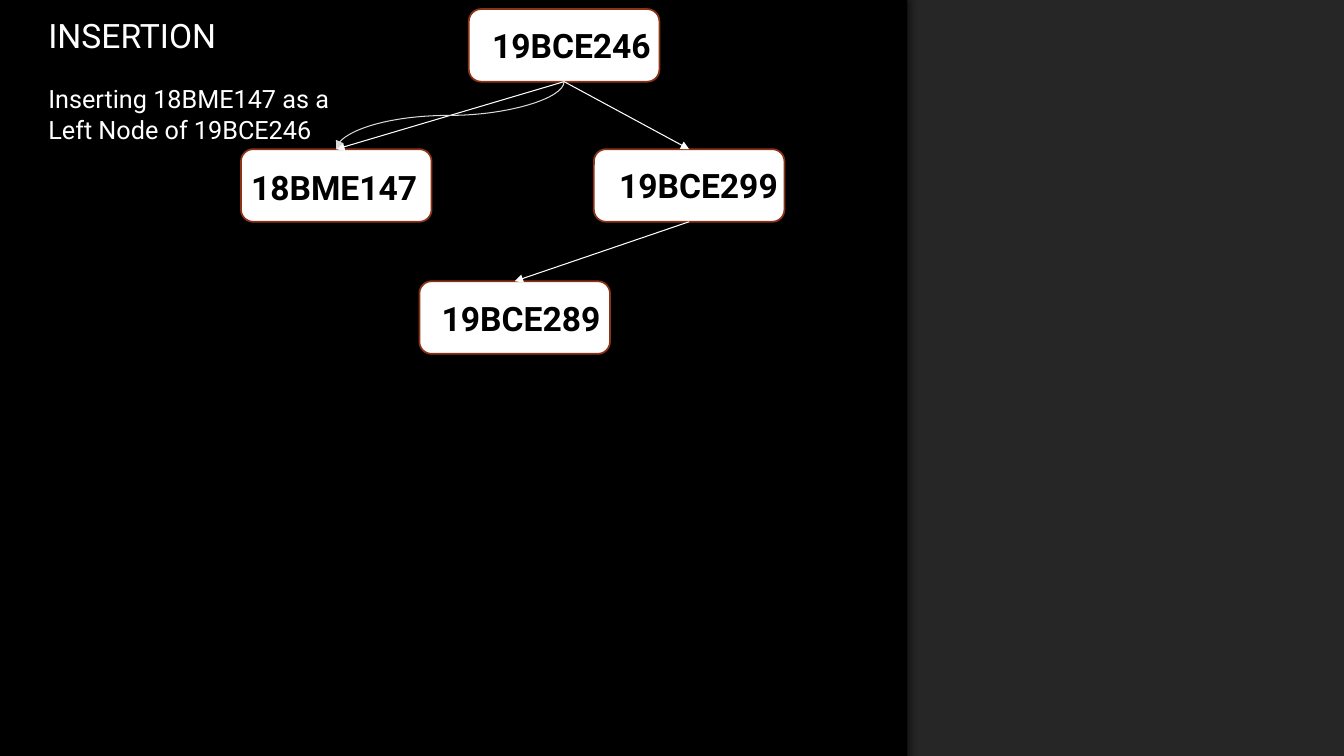
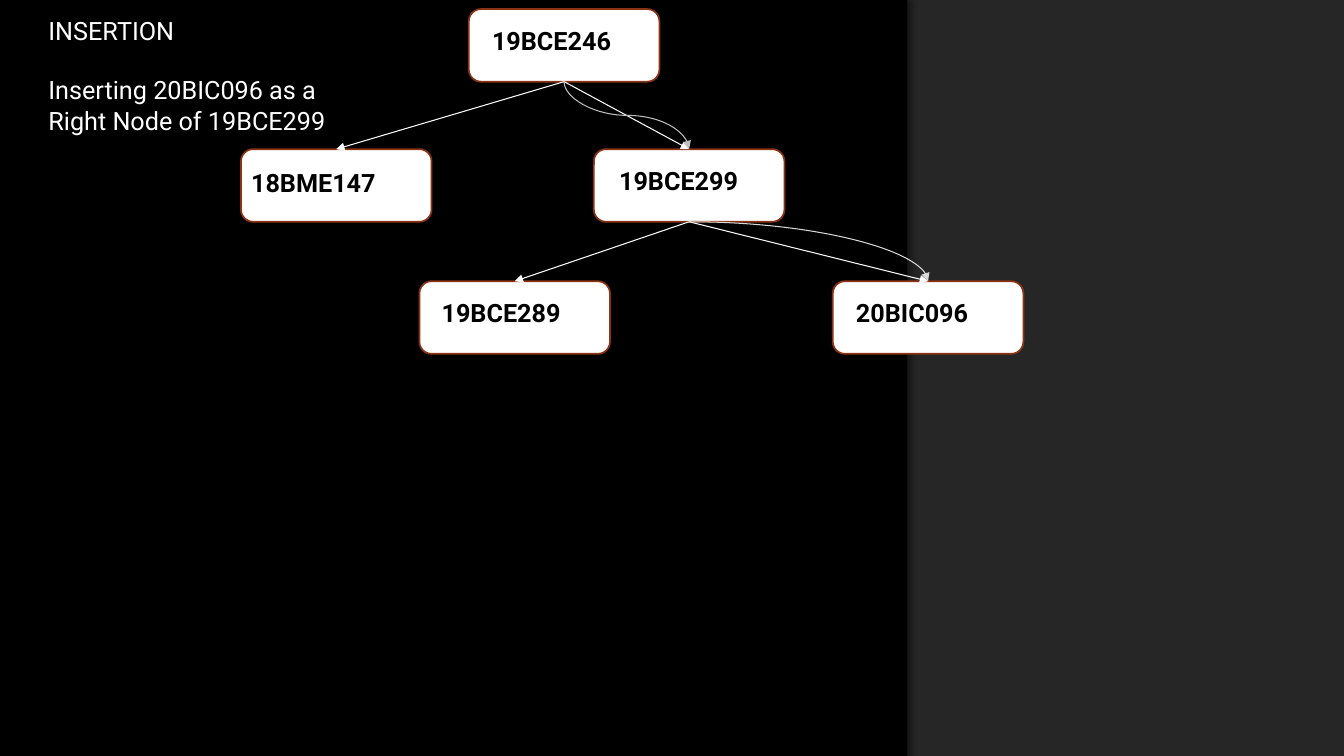
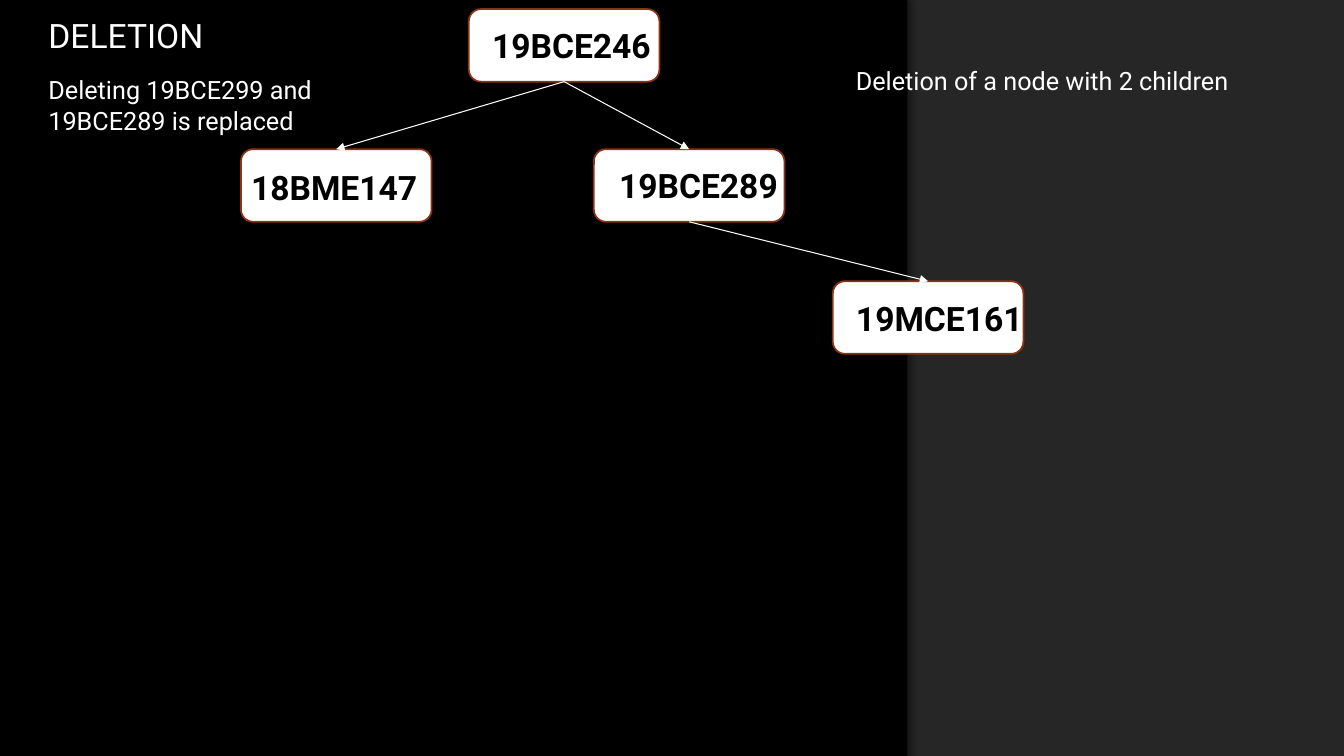
import pptx
import pptx.util
import pptx.dml.color
import pptx.enum.shapes
import pptx.enum.text
import pptx.oxml
import pptx.oxml.ns
import lxml.etree

Inches = pptx.util.Inches
Pt = pptx.util.Pt
qn = pptx.oxml.ns.qn
CONNECTOR = pptx.enum.shapes.MSO_CONNECTOR
SHAPE = pptx.enum.shapes.MSO_SHAPE

FONT = "Roboto"
BLACK, WHITE, PANEL, RUST = "000000", "FFFFFF", "262626", "8B3314"
SILVER, GREY = "D9D9D9", "BFBFBF"
SLIDE_W, SLIDE_H = 13.33, 7.5
NODE_W, NODE_H = 1.89, 0.72
CORNER_INSET = 0.035

NODE_PLACES = {
    "root": (4.65, 0.09, 0.23, 0.16),
    "left": (2.39, 1.48, 0.1, 0.18),
    "right": (5.89, 1.48, 0.25, 0.16),
    "inner": (4.16, 2.79, 0.22, 0.16),
    "outer": (8.26, 2.79, 0.23, 0.16),
}

PANEL_EDGE = [
    (8.8, 0), (8.83, 0.17), (8.86, 0.38), (8.91, 0.66), (8.96, 1.01),
    (9.02, 1.42), (9.07, 1.88), (9.11, 2.39), (9.14, 2.8), (9.16, 3.24),
    (9.17, 3.69), (9.17, 4.16), (9.16, 4.64), (9.13, 5.13), (9.09, 5.63),
    (9.04, 6.14), (8.99, 6.48), (8.93, 6.82), (8.87, 7.16), (8.79, 7.5),
]


def rgb(value):
    return pptx.dml.color.RGBColor.from_string(value)


def paint(sp, fill, line=None):
    sp.shadow.inherit = False
    sp.fill.solid()
    sp.fill.fore_color.rgb = rgb(fill)
    if line:
        sp.line.color.rgb = rgb(line)
        sp.line.width = Pt(1.25)
    else:
        sp.line.fill.background()


def write(sp, text, size, color=WHITE, bold=False):
    tf = sp.text_frame
    tf.text = text
    tf.word_wrap = True
    tf.auto_size = pptx.enum.text.MSO_AUTO_SIZE.NONE
    tf.vertical_anchor = pptx.enum.text.MSO_ANCHOR.TOP
    p = tf.paragraphs[0]
    p.alignment = pptx.enum.text.PP_ALIGN.LEFT
    p.space_before = Pt(0)
    font = p.runs[0].font
    font.name, font.size, font.bold = FONT, Pt(size), bold
    font.color.rgb = rgb(color)


def place(sp, x, y, w, h):
    sp.left, sp.top, sp.width, sp.height = map(Inches, (x, y, w, h))


def add_soft_shadow(sp):
    effects = sp.element.spPr.find(qn("a:effectLst"))
    shadow = lxml.etree.SubElement(
        effects, qn("a:outerShdw"), blurRad=str(Pt(4)), dist=str(Pt(3)), dir="0")
    color = lxml.etree.SubElement(shadow, qn("a:srgbClr"), val=BLACK)
    lxml.etree.SubElement(color, qn("a:alpha"), val="40000")


def add_backdrop(slide, layout):
    back = slide.shapes.add_shape(
        SHAPE.RECTANGLE, 0, 0, Inches(SLIDE_W), Inches(SLIDE_H))
    paint(back, PANEL)
    builder = slide.shapes.build_freeform(0, 0, scale=Inches(1))
    builder.add_line_segments(PANEL_EDGE + [(0, SLIDE_H)], close=True)
    panel = builder.convert_to_shape()
    paint(panel, BLACK)
    add_soft_shadow(panel)
    for position, sp in enumerate((back, panel), 2):
        layout.shapes.element.insert(position, sp.element)


def add_headings(slide, title, title_size, body, body_top):
    sp = slide.shapes.title
    place(sp, 0.38, 0.1, 3.62, 0.5)
    write(sp, title, title_size)
    sp = slide.placeholders[1]
    place(sp, 0.38, body_top, 3.44, 0.71)
    write(sp, body, 18)
    pPr = sp.text_frame.paragraphs[0]._p.get_or_add_pPr()
    pPr.set("marL", "0")
    pPr.set("indent", "0")
    lxml.etree.SubElement(pPr, qn("a:buNone"))


def add_node(slide, spot, text, size):
    x, y, pad_x, pad_y = NODE_PLACES[spot]
    sp = slide.shapes.add_shape(
        SHAPE.ROUNDED_RECTANGLE, *map(Inches, (x, y, NODE_W, NODE_H)))
    paint(sp, WHITE, RUST)
    write(sp, text, size, BLACK, True)
    tf = sp.text_frame
    tf.margin_left = Inches(pad_x - CORNER_INSET)
    tf.margin_top = Inches(pad_y - CORNER_INSET)
    tf.margin_right = Inches(-0.1)
    tf.margin_bottom = 0
    return sp


def style_arrow(connector, color):
    connector.line.color.rgb = rgb(color)
    connector.line.width = Pt(0.75)
    lxml.etree.SubElement(
        connector.line._get_or_add_ln(), qn("a:tailEnd"), type="triangle")
    lxml.etree.SubElement(connector.element.spPr, qn("a:effectLst"))


def add_edge(slide, parent, child):
    connector = slide.shapes.add_connector(CONNECTOR.STRAIGHT, 0, 0, 0, 0)
    connector.begin_connect(parent, 2)
    connector.end_connect(child, 0)
    style_arrow(connector, WHITE)


def add_trace(slide, parent, child, color, bend):
    x1, y1 = parent.left + parent.width // 2, parent.top + parent.height
    x2, y2 = child.left + child.width // 2, child.top
    if bend == "arc":
        connector = slide.shapes.add_connector(CONNECTOR.CURVE, x1, y1, x2, y2)
        geometry = connector.element.spPr.find(qn("a:prstGeom"))
        geometry.set("prst", "curvedConnector2")
    else:
        cx, cy = (x1 + x2) // 2, (y1 + y2) // 2
        half_w, half_h = (y2 - y1) // 2, abs(x2 - x1) // 2
        side = 1 if x2 < x1 else -1
        connector = slide.shapes.add_connector(
            CONNECTOR.CURVE, cx - side * half_w, cy - half_h,
            cx + side * half_w, cy + half_h)
        turn = 90 if side == 1 else 270
        connector.element.spPr.find(qn("a:xfrm")).set("rot", str(turn * 60000))
    style_arrow(connector, color)


def add_tree(slide, size, labels, edges, traces=()):
    nodes = {spot: add_node(slide, spot, text, size)
             for spot, text in labels.items()}
    for parent, child in edges:
        add_edge(slide, nodes[parent], nodes[child])
    for parent, child, color, bend in traces:
        add_trace(slide, nodes[parent], nodes[child], color, bend)


def add_note(slide, text):
    sp = slide.shapes.add_textbox(*map(Inches, (8.39, 0.6, 4, 0.4)))
    write(sp, text, 18)


def main():
    prs = pptx.Presentation()
    prs.slide_width, prs.slide_height = Inches(SLIDE_W), Inches(SLIDE_H)
    layout = prs.slide_layouts[1]
    layout.background.fill.solid()
    layout.background.fill.fore_color.rgb = rgb(BLACK)
    top_edges = [("root", "left"), ("root", "right")]

    slide = prs.slides.add_slide(layout)
    add_backdrop(slide, layout)
    add_headings(slide, "INSERTION", 24,
                 "Inserting 18BME147 as a Left Node of 19BCE246", 0.78)
    add_tree(slide, 24,
             {"root": "19BCE246", "left": "18BME147",
              "right": "19BCE299", "inner": "19BCE289"},
             top_edges + [("right", "inner")],
             [("root", "left", SILVER, "wave")])

    slide = prs.slides.add_slide(layout)
    add_headings(slide, "INSERTION", 18,
                 "Inserting 20BIC096 as a Right Node of 19BCE299", 0.69)
    add_tree(slide, 18,
             {"root": "19BCE246", "left": "18BME147", "right": "19BCE299",
              "inner": "19BCE289", "outer": "20BIC096"},
             top_edges + [("right", "inner"), ("right", "outer")],
             [("root", "right", GREY, "wave"), ("right", "outer", SILVER, "arc")])

    slide = prs.slides.add_slide(layout)
    add_headings(slide, "DELETION", 24,
                 "Deleting 19BCE299 and 19BCE289 is replaced", 0.69)
    add_tree(slide, 24,
             {"root": "19BCE246", "left": "18BME147",
              "right": "19BCE289", "outer": "19MCE161"},
             top_edges + [("right", "outer")])
    add_note(slide, "Deletion of a node with 2 children")

    prs.save("out.pptx")


if __name__ == "__main__":
    main()
